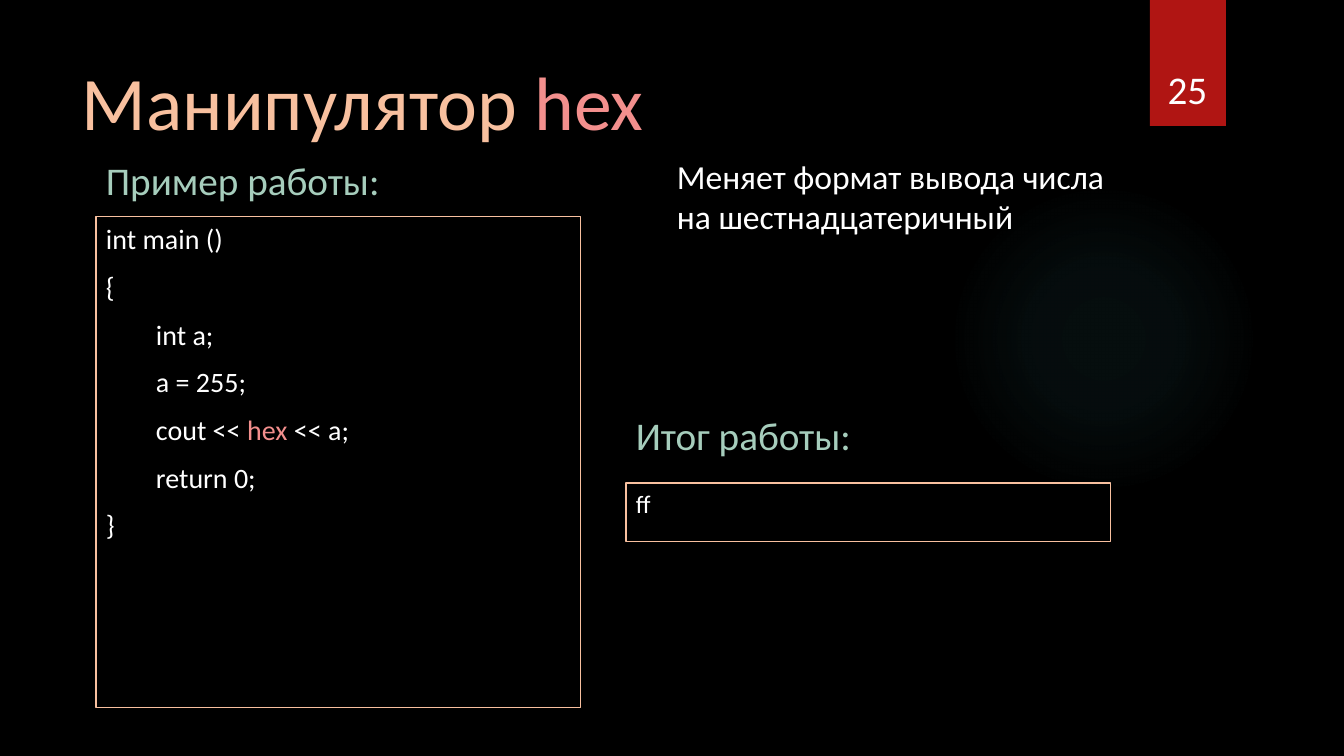
from pptx import Presentation
from pptx.dml.color import RGBColor as RGB
from pptx.enum.shapes import MSO_SHAPE as SHAPE
from pptx.enum.text import MSO_ANCHOR as ANCHOR, PP_ALIGN as ALIGN
from pptx.oxml import parse_xml
from pptx.util import Pt

COLORS = {
    "bg": "000000", "peach": "F8C09F", "pink": "F38F8D", "white": "FFFFFF",
    "mint": "A6CDBC", "red": "B01513", "glow": "50B9C1",
}
FONT = "Calibri"
SCALE = 914400 / 100.8
SIZE = (1344, 756)
INDENT = 50

GLOW = (949, 184, 310, 310)
GLOW_STOPS = [(0, 7), (36, 6), (69, 0)]
RIBBON = (1150, 0, 76, 126)

TITLE = [(0, [("Манипулятор ", "peach"), ("hex", "pink")])]
CODE = [
    (0, [("int main ()", "white")]),
    (0, [("{", "white")]),
    (1, [("int a;", "white")]),
    (1, [("a = 255;", "white")]),
    (1, [("cout << ", "white"), ("hex", "pink"), (" << a;", "white")]),
    (1, [("return 0;", "white")]),
    (0, [("}", "white")]),
]
OUTPUT = [(0, [("ff", "white")])]
NUMBER = [(0, [("25", "white")])]
RESULT = [(0, [("Итог работы:", "mint")])]
ABOUT = [
    (0, [("Меняет формат вывода числа", "white")]),
    (0, [("на шестнадцатеричный", "white")]),
]
EXAMPLE = [(0, [("Пример работы:", "mint")])]

FRAMES = [
    ((96, 217, 485, 491), 20, CODE),
    ((626, 483, 485, 59), 18, OUTPUT),
]
LABELS = [
    ((72, 50, 619, 95), 54, TITLE),
    ((626, 406, 419, 57), 28, RESULT),
    ((667, 151, 457, 92), 24, ABOUT),
    ((96, 151, 419, 57), 28, EXAMPLE),
]
NUMBER_BOX = (1141, 32, 93, 85)

NS = 'xmlns:a="http://schemas.openxmlformats.org/drawingml/2006/main"'


def px(n):
    return round(n * SCALE)


def color(name):
    return RGB.from_string(COLORS[name])


def add_shape(slide, kind, box):
    s = slide.shapes.add_shape(kind, *map(px, box))
    s.shadow.inherit = False
    s.line.fill.background()
    return s


def write(s, size, paragraphs, before=0, align=ALIGN.LEFT, anchor=ANCHOR.TOP):
    tf = s.text_frame
    tf.word_wrap = True
    tf.vertical_anchor = anchor
    for i, (level, runs) in enumerate(paragraphs):
        p = tf.add_paragraph() if i else tf.paragraphs[0]
        p.alignment = align
        p.space_before = Pt(before)
        if level:
            p._p.get_or_add_pPr().set("marL", str(px(INDENT * level)))
        for text, name in runs:
            r = p.add_run()
            r.text = text
            r.font.size = Pt(size)
            r.font.name = FONT
            r.font.color.rgb = color(name)


def add_glow(slide):
    s = add_shape(slide, SHAPE.OVAL, GLOW)
    s.fill.solid()
    stops = "".join(
        f'<a:gs pos="{pos * 1000}"><a:srgbClr val="{COLORS["glow"]}">'
        f'<a:alpha val="{alpha * 1000}"/></a:srgbClr></a:gs>'
        for pos, alpha in GLOW_STOPS
    )
    sp_pr = s._element.spPr
    solid = sp_pr.find("{*}solidFill")
    sp_pr.replace(solid, parse_xml(
        f'<a:gradFill {NS}><a:gsLst>{stops}</a:gsLst><a:path path="circle">'
        '<a:fillToRect l="50000" t="50000" r="50000" b="50000"/>'
        '</a:path></a:gradFill>'
    ))


def add_ribbon(slide):
    s = add_shape(slide, SHAPE.RECTANGLE, RIBBON)
    s.fill.solid()
    s.fill.fore_color.rgb = color("red")
    s._element.spPr.find("{*}effectLst").append(parse_xml(
        f'<a:outerShdw {NS} blurRad="{Pt(3)}" dist="{Pt(2)}" dir="5400000" '
        'rotWithShape="0"><a:srgbClr val="000000"><a:alpha val="45000"/>'
        '</a:srgbClr></a:outerShdw>'
    ))


def main():
    prs = Presentation()
    prs.slide_width, prs.slide_height = map(px, SIZE)
    slide = prs.slides.add_slide(prs.slide_layouts[6])
    slide.background.fill.solid()
    slide.background.fill.fore_color.rgb = color("bg")

    add_glow(slide)
    add_ribbon(slide)
    for box, size, paragraphs in FRAMES:
        s = add_shape(slide, SHAPE.RECTANGLE, box)
        s.fill.background()
        s.line.color.rgb = color("peach")
        s.line.width = Pt(0.75)
        write(s, size, paragraphs, before=10)
    for box, size, paragraphs in LABELS:
        write(slide.shapes.add_textbox(*map(px, box)), size, paragraphs)
    write(slide.shapes.add_textbox(*map(px, NUMBER_BOX)), 28, NUMBER,
          align=ALIGN.CENTER, anchor=ANCHOR.BOTTOM)
    prs.save("out.pptx")


if __name__ == "__main__":
    main()
